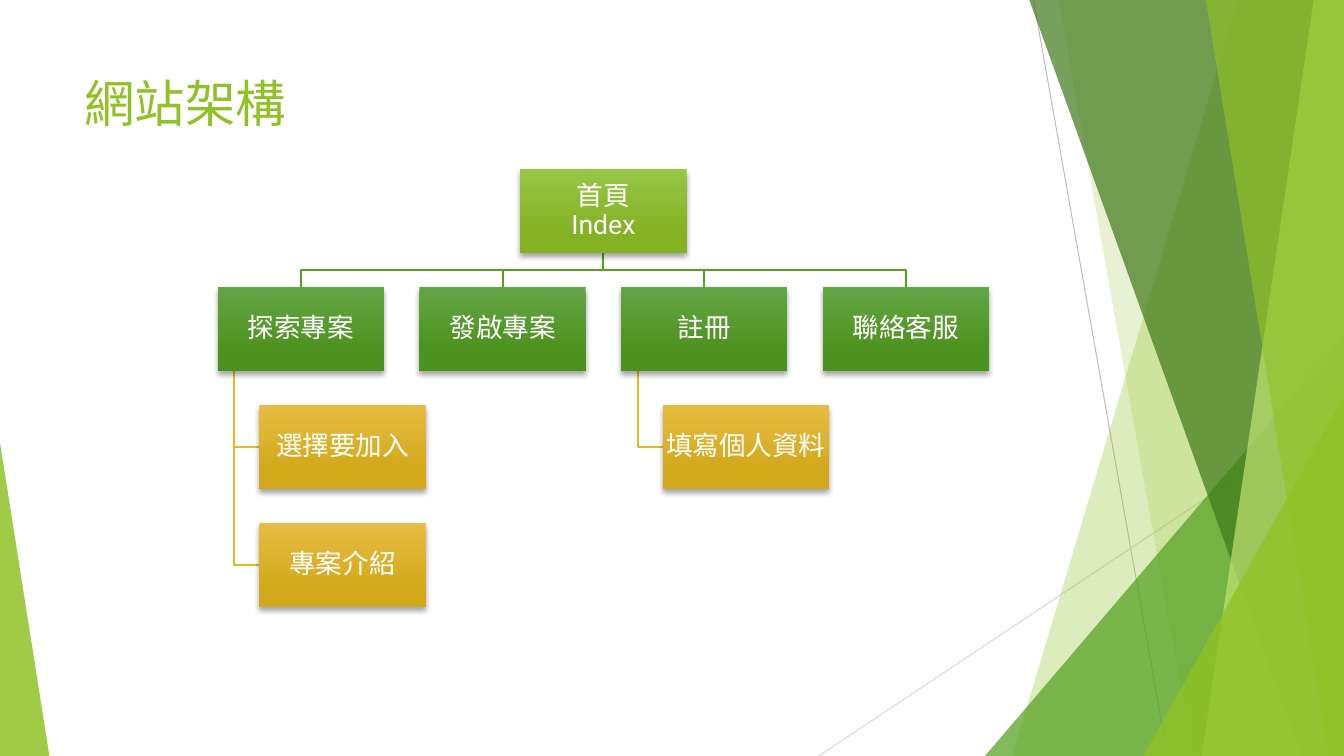
from lxml import etree
from pptx import Presentation, util as u
from pptx.dml.color import RGBColor
from pptx.enum import shapes, text
from pptx.oxml.ns import qn

GREEN, DEEP_GREEN, GOLD = "90C226", "54A021", "E6B91E"
ROOT_FILL, PAGE_FILL, DETAIL_FILL = ("97C547", "84B223"), ("63A545", "4D921E"), ("E7BC43", "D2A91B")
SITE_PAGES = [
    ("探索專案", ["選擇要加入", "專案介紹"]),
    ("發啟專案", []),
    ("註冊", ["填寫個人資料"]),
    ("聯絡客服", []),
]


def rgb(hex_code):
    return RGBColor.from_string(hex_code)


def write(frame, content, size, color, font="Roboto", align=text.PP_ALIGN.LEFT,
          anchor=text.MSO_ANCHOR.TOP, inset=None, line_spacing=None, space_after=0):
    frame.word_wrap = True
    frame.vertical_anchor = anchor
    if inset is not None:
        frame.margin_left = frame.margin_right = u.Inches(inset)
        frame.margin_top = frame.margin_bottom = u.Inches(inset)
    paragraph = frame.paragraphs[0]
    paragraph.text = content
    paragraph.alignment = align
    paragraph.line_spacing = line_spacing
    paragraph.space_after = u.Pt(space_after)
    for run in paragraph.runs:
        run.font.size = u.Pt(size)
        run.font.name = font
        run.font.color.rgb = rgb(color)
        east_asian = etree.SubElement(run.font._element, qn("a:ea"))
        east_asian.set("typeface", "Noto Sans CJK SC")


class SitemapSlide:
    left, top = 2.16, 1.68
    column, row = 2, 1.17
    box_width, box_height = 1.65, 0.83

    def __init__(self, presentation):
        self.width, self.height = presentation.slide_width, presentation.slide_height
        self.slide = presentation.slides.add_slide(presentation.slide_layouts[6])
        self.shapes = self.slide.shapes

    def share(self, x, y):
        return round(self.width * x / 100), round(self.height * y / 100)

    def cell(self, column, row):
        return (u.Inches(self.left + column * self.column),
                u.Inches(self.top + row * self.row))

    def tint(self, shape, color, opacity):
        shape.shadow.inherit = False
        shape.line.fill.background()
        shape.fill.solid()
        shape.fill.fore_color.rgb = rgb(color)
        color_element = shape._element.spPr.find(qn("a:solidFill"))[0]
        etree.SubElement(color_element, qn("a:alpha")).set("val", str(opacity * 1000))

    def outline(self, points, closed):
        builder = self.shapes.build_freeform(*points[0])
        builder.add_line_segments(points[1:], close=closed)
        return builder.convert_to_shape()

    def hairline(self, start, end, color):
        line = self.shapes.add_connector(
            shapes.MSO_CONNECTOR.STRAIGHT, *self.share(*start), *self.share(*end))
        line.line.color.rgb = rgb(color)
        line.line.width = u.Pt(0.75)
        etree.SubElement(line._element.spPr, qn("a:effectLst"))

    def band(self, top_x, bottom_x, color, opacity):
        corners = [(top_x, 0), (100, 0), (100, 100), (bottom_x, 100)]
        self.tint(self.outline([self.share(*corner) for corner in corners], True), color, opacity)

    def triangle(self, left, top, width, apex, color, opacity):
        shape = self.shapes.add_shape(
            shapes.MSO_SHAPE.ISOSCELES_TRIANGLE,
            *self.share(left, top), *self.share(width, 100 - top))
        shape.adjustments[0] = apex
        self.tint(shape, color, opacity)

    def title(self, content):
        box = self.shapes.add_textbox(*self.share(5.55, 8.93), *self.share(70.5, 19.2))
        write(box.text_frame, content, 36, GREEN, font="Noto Sans CJK SC")

    def branch(self, stops, color):
        shape = self.outline([self.cell(*stop) for stop in stops], False)
        shape.fill.background()
        shape.shadow.inherit = False
        shape.line.color.rgb = rgb(color)
        shape.line.width = u.Pt(1.5)

    def page_box(self, column, row, content, colors):
        shape = self.shapes.add_shape(
            shapes.MSO_SHAPE.RECTANGLE, *self.cell(column, row),
            u.Inches(self.box_width), u.Inches(self.box_height))
        shape.line.fill.background()
        shape.fill.gradient()
        shape.fill.gradient_angle = 270
        for stop, color, position in zip(shape.fill.gradient_stops, colors, (0, 0.78)):
            stop.color.rgb = rgb(color)
            stop.position = position
        shape.shadow.inherit = False
        effects = shape._element.spPr.find(qn("a:effectLst"))
        shadow = etree.SubElement(effects, qn("a:outerShdw"), blurRad=str(u.Pt(4)),
                                  dist=str(u.Pt(3)), dir="5400000", rotWithShape="0")
        black = etree.SubElement(shadow, qn("a:srgbClr"), val="000000")
        etree.SubElement(black, qn("a:alpha"), val="35000")
        write(shape.text_frame, content, 19, "FFFFFF", align=text.PP_ALIGN.CENTER,
              anchor=text.MSO_ANCHOR.MIDDLE, inset=0.01, line_spacing=0.9, space_after=6.65)

    def backdrop(self):
        self.hairline((76.9, 0), (86.87, 100), "BFBFBF")
        self.hairline((100, 53.73), (60.92, 100), "D9D9D9")
        self.band(92.12, 75.32, GREEN, 30)
        self.band(78.77, 88.75, GREEN, 20)
        self.triangle(73.29, 44.4, 26.71, 1, DEEP_GREEN, 72)
        self.band(76.59, 96.85, "3F7819", 70)
        self.band(97.75, 89.42, "C0E474", 70)
        self.band(89.72, 98.87, GREEN, 65)
        self.triangle(85.07, 52.4, 14.93, 1, GREEN, 80)
        self.triangle(0, 58.53, 3.68, 0, GREEN, 85)

    def sitemap(self, home, pages):
        home_column = (len(pages) - 1) / 2
        half_box = self.box_width / self.column / 2
        box_rows = self.box_height / self.row
        bus_row = (box_rows + 1) / 2
        stem, indent = half_box / 5, half_box / 2
        boxes = [(home_column, 0, home, ROOT_FILL)]
        for column, (page, details) in enumerate(pages):
            home_x, page_x = home_column + half_box, column + half_box
            self.branch([(home_x, box_rows), (home_x, bus_row),
                         (page_x, bus_row), (page_x, 1)], DEEP_GREEN)
            boxes.append((column, 1, page, PAGE_FILL))
            for row, detail in enumerate(details, 2):
                middle = row + box_rows / 2
                self.branch([(column + stem, 1 + box_rows), (column + stem, middle),
                             (column + indent, middle)], GOLD)
                boxes.append((column + indent, row, detail, DETAIL_FILL))
        for box in boxes:
            self.page_box(*box)


def main():
    presentation = Presentation()
    presentation.slide_width, presentation.slide_height = u.Inches(13.33), u.Inches(7.5)
    slide = SitemapSlide(presentation)
    slide.backdrop()
    slide.title("網站架構")
    slide.sitemap("首頁\nIndex", SITE_PAGES)
    presentation.save("out.pptx")


if __name__ == "__main__":
    main()
